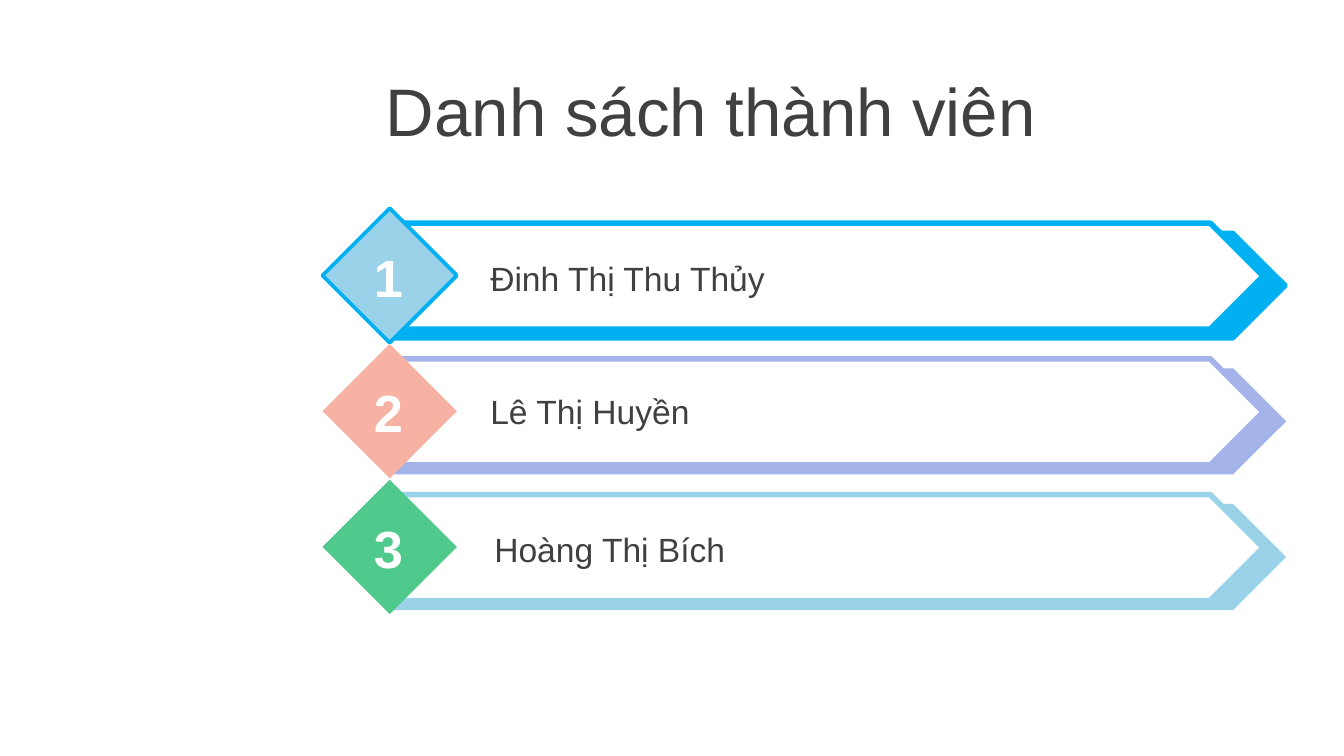
from pptx import Presentation
from pptx.dml.color import RGBColor
from pptx.enum.shapes import MSO_SHAPE
from pptx.enum.text import MSO_ANCHOR, PP_ALIGN
from pptx.util import Inches, Pt

PENTAGON, DIAMOND = MSO_SHAPE.PENTAGON, MSO_SHAPE.DIAMOND
TOP, MIDDLE = MSO_ANCHOR.TOP, MSO_ANCHOR.MIDDLE
LEFT, CENTER = PP_ALIGN.LEFT, PP_ALIGN.CENTER

WHITE = RGBColor(0xFF, 0xFF, 0xFF)
GREY = RGBColor(0x40, 0x40, 0x40)
BLUE = RGBColor(0x00, 0xB0, 0xF0)
LAVENDER = RGBColor(0xA4, 0xB4, 0xEA)
SKY = RGBColor(0x9A, 0xD3, 0xE9)
SALMON = RGBColor(0xF8, 0xB2, 0xA3)
GREEN = RGBColor(0x50, 0xC9, 0x8C)

FONT = "Arial"
FIRST_ROW, ROW_PITCH = 1.55, 1.01
BANNER_LEFT, BANNER_HEIGHT = 2.93, 0.79
MEMBERS = [
    ("Đinh Thị Thu Thủy", BLUE, SKY, BLUE, 3.55, 0.32),
    ("Lê Thị Huyền", LAVENDER, SALMON, None, 3.55, 0.3),
    ("Hoàng Thị Bích", SKY, GREEN, None, 3.58, 0.32),
]


def inches(*lengths):
    """Convert several lengths to inches."""
    return [Inches(length) for length in lengths]


def write(box, text, size, color, align=LEFT, anchor=TOP, bold=False):
    """Set the text of a box and format it."""
    frame = box.text_frame
    frame.text = text
    frame.word_wrap = True
    frame.vertical_anchor = anchor
    para = frame.paragraphs[0]
    para.alignment = align
    font = para.runs[0].font
    font.name, font.size, font.bold = FONT, Pt(size), bold
    font.color.rgb = color


def add_title(page, text):
    """Place the title placeholder and fill it."""
    title = page.shapes.title
    title.left, title.top, title.width, title.height = inches(1.69, 0.5, 7.2, 0.63)
    write(title, text, 36, GREY, CENTER, MIDDLE)


def add_label(page, area, text, size, color, **style):
    """Add a text box with one formatted line."""
    write(page.shapes.add_textbox(*inches(*area)), text, size, color, **style)


def add_figure(page, kind, area, fill, line=None, weight=2):
    """Add a flat preset shape with an optional outline."""
    figure = page.shapes.add_shape(kind, *inches(*area))
    figure.shadow.inherit = False
    figure.fill.solid()
    figure.fill.fore_color.rgb = fill
    if line is None:
        figure.line.fill.background()
    else:
        figure.line.color.rgb = line
        figure.line.width = Pt(weight)


def add_member(page, index, name, accent, badge, outline, name_left, name_drop):
    """Add one numbered banner with a member's name."""
    top = FIRST_ROW + index * ROW_PITCH
    add_figure(page, PENTAGON, (BANNER_LEFT, top + 0.18, 6.64, BANNER_HEIGHT), accent, outline)
    add_figure(page, PENTAGON, (BANNER_LEFT, top + 0.11, 6.47, BANNER_HEIGHT), WHITE, accent, 3)
    add_figure(page, DIAMOND, (2.4, top, 1, 1), badge, outline)
    add_label(page, (2.67, top + 0.22, 0.44, 0.57), f"{index + 1} ", 28, WHITE,
              align=CENTER, anchor=MIDDLE, bold=True)
    add_label(page, (name_left, top + name_drop, 5.2, 0.4), name, 18, GREY)


def main():
    """Build the member list slide."""
    deck = Presentation()
    deck.slide_width = Inches(10)
    deck.slide_height = deck.slide_width * 9 // 16
    page = deck.slides.add_slide(deck.slide_layouts[5])
    add_title(page, "Danh sách thành viên")
    for index, member in enumerate(MEMBERS):
        add_member(page, index, *member)
    deck.save("out.pptx")


if __name__ == "__main__":
    main()
